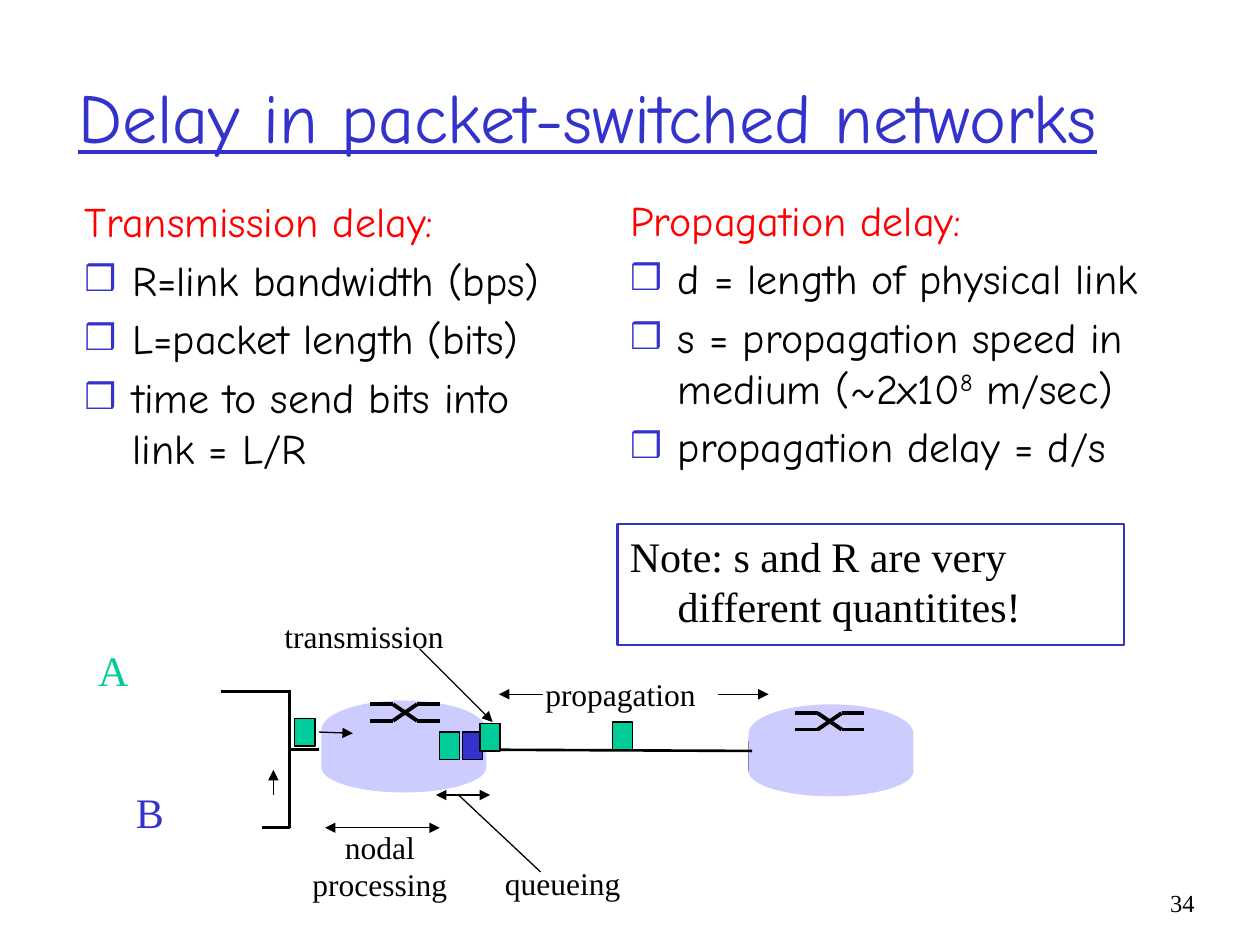
import pptx
import pptx.util
import pptx.dml.color
import pptx.enum.shapes
import pptx.enum.text
import pptx.oxml.ns
from lxml import etree

Inches, Pt = pptx.util.Inches, pptx.util.Pt
SHAPE = pptx.enum.shapes.MSO_SHAPE
ALIGN = pptx.enum.text.PP_ALIGN
ANCHOR = pptx.enum.text.MSO_ANCHOR
qn = pptx.oxml.ns.qn

COMIC, TIMES = "Comic Neue", "Times New Roman"
BLACK, BLUE, RED = "000000", "3333CC", "FF0000"
GREEN, LILAC = "00CC99", "CCCCFF"


def paint(target, color):
    """Set a fill (solid) or a font/line colour from a hex string."""
    if hasattr(target, "solid"):
        target.solid()
        target = target.fore_color
    else:
        target = target.color
    target.rgb = pptx.dml.color.RGBColor.from_string(color)


def place(shape, box):
    shape.left, shape.top, shape.width, shape.height = map(Inches, box)


def write(para, text, font=TIMES, size=18, color=BLACK, align=ALIGN.LEFT,
          line=False, hang=0, bullet=None, before=0):
    """Fill a paragraph; text between ^ marks is superscript."""
    para.alignment = align
    para.space_before = Pt(before)
    props = para._p.get_or_add_pPr()
    props.set("marL", str(Inches(hang)))
    props.set("indent", str(-Inches(hang)))
    if bullet:
        tint = etree.SubElement(props, qn("a:buClr"))
        etree.SubElement(tint, qn("a:srgbClr"), val=BLUE)
        etree.SubElement(props, qn("a:buSzPct"), val="85000")
        etree.SubElement(props, qn("a:buChar"), char=bullet)
    else:
        etree.SubElement(props, qn("a:buNone"))
    for i, part in enumerate(text.split("^")):
        run = para.add_run()
        run.text = part
        run.font.name, run.font.size = font, Pt(size)
        run.font.underline = line
        paint(run.font, color)
        if i % 2:
            run._r.get_or_add_rPr().set("baseline", "30000")


def label(slide, box, *lines, **form):
    shape = slide.shapes.add_textbox(*map(Inches, box))
    frame = shape.text_frame
    frame.word_wrap = True
    for i, text in enumerate(lines):
        write(frame.add_paragraph() if i else frame.paragraphs[0], text, **form)


def block(slide, kind, box, fill=None, edge=None, width=0.75):
    shape = slide.shapes.add_shape(kind, *map(Inches, box))
    shape.shadow.inherit = False
    if fill:
        paint(shape.fill, fill)
    else:
        shape.fill.background()
    if edge:
        paint(shape.line, edge)
        shape.line.width = Pt(width)
    else:
        shape.line.fill.background()
    return shape


def stroke(slide, x1, y1, x2, y2, width=0.75, ends=""):
    """Draw a line; ends names the arrowheads, such as "head tail"."""
    link = slide.shapes.add_connector(
        pptx.enum.shapes.MSO_CONNECTOR.STRAIGHT, *map(Inches, (x1, y1, x2, y2)))
    paint(link.line, BLACK)
    link.line.width = Pt(width)
    for end in ends.split():
        etree.SubElement(link.line._get_or_add_ln(), qn(f"a:{end}End"), type="triangle")
    etree.SubElement(link._element.spPr, qn("a:effectLst"))


def title(shape, box, text):
    place(shape, box)
    shape.text_frame.vertical_anchor = ANCHOR.MIDDLE
    write(shape.text_frame.paragraphs[0], text, font=COMIC, size=40,
          color=BLUE, line=True)


def column(shape, box, head, items):
    place(shape, box)
    frame = shape.text_frame
    frame.auto_size = pptx.enum.text.MSO_AUTO_SIZE.NONE
    form = dict(font=COMIC, size=24, hang=0.38)
    write(frame.paragraphs[0], head, color=RED, **form)
    for item in items:
        write(frame.add_paragraph(), item, bullet="❒", before=4.8, **form)


def note(slide, box, text):
    shape = block(slide, SHAPE.RECTANGLE, box, edge=BLUE, width=1.5)
    shape.text_frame.vertical_anchor = ANCHOR.TOP
    write(shape.text_frame.paragraphs[0], text, size=24, hang=0.38)


def router(slide, left, top):
    width = 1.31
    block(slide, SHAPE.OVAL, (left, top + 0.33, width, 0.4), LILAC)
    block(slide, SHAPE.RECTANGLE, (left, top + 0.25, width, 0.29), LILAC)
    block(slide, SHAPE.OVAL, (left, top, width, 0.47), LILAC)


def cross(slide, left, top):
    """Switch symbol: two crossing paths with flat ends."""
    low = top + 0.13
    for y1, y2 in ((top, low), (low, top)):
        points = ((0, y1), (0.18, y1), (0.37, y2), (0.55, y2))
        for (a, ya), (b, yb) in zip(points, points[1:]):
            stroke(slide, left + a, ya, left + b, yb, 2.25)


def network(slide):
    # Routers
    stroke(slide, 5.94, 5.88, 5.94, 6.13, 1)
    for left, top in ((2.55, 5.56), (5.94, 5.59)):
        router(slide, left, top)
    cross(slide, 2.94, 5.59)
    cross(slide, 6.31, 5.66)

    # Links
    for ends in ((1.75, 5.49, 2.3, 5.49), (2.08, 6.57, 2.3, 6.57),
                 (3.85, 5.95, 5.97, 5.96), (2.3, 5.48, 2.3, 6.57),
                 (2.31, 5.95, 2.53, 5.95)):
        stroke(slide, *ends, width=1.5)

    # Packets
    for left, top, color in ((4.86, 5.73, GREEN), (3.49, 5.81, GREEN),
                             (3.67, 5.81, BLUE), (2.34, 5.7, GREEN),
                             (3.81, 5.74, GREEN)):
        block(slide, SHAPE.RECTANGLE, (left, top, 0.16, 0.22), color, BLACK)

    # Arrows and the queueing pointer
    for ends in ((2.53, 5.81, 2.8, 5.82), (2.17, 6.31, 2.17, 6.11),
                 (5.7, 5.51, 6.1, 5.51), (4.31, 5.51, 3.96, 5.51),
                 (3.33, 5.15, 3.91, 5.73)):
        stroke(slide, *ends, ends="tail")
    for ends in ((3.49, 6.57, 2.58, 6.57), (3.89, 6.31, 3.46, 6.31)):
        stroke(slide, *ends, ends="head tail")
    stroke(slide, 4.29, 6.92, 3.64, 6.31)

    # Labels
    label(slide, (0.68, 5.07, 0.44, 0.5), "A", size=24, color=GREEN)
    label(slide, (0.98, 6.19, 0.41, 0.5), "B", size=24, color=BLUE)
    label(slide, (4.23, 5.31, 1.56, 0.4), "propagation")
    label(slide, (2.16, 4.85, 1.66, 0.4), "transmission")
    label(slide, (2.3, 6.52, 1.43, 0.7), "nodal", "processing", align=ALIGN.CENTER)
    label(slide, (3.91, 6.81, 1.2, 0.4), "queueing")


def main():
    deck = pptx.Presentation()
    deck.slide_width, deck.slide_height = Inches(10), Inches(7.5)
    slide = deck.slides.add_slide(deck.slide_layouts[3])
    head, left, right = slide.placeholders

    title(head, (0.52, 0.29, 8.5, 1.25), "Delay in packet-switched networks")
    column(left, (0.57, 1.5, 4.17, 2.74), "Transmission delay:",
           ["R=link bandwidth (bps)", "L=packet length (bits)",
            "time to send bits into link = L/R"])
    column(right, (4.9, 1.49, 4.54, 3.19), "Propagation delay:",
           ["d = length of physical link",
            "s = propagation speed in medium (~2x10^8^ m/sec)",
            "propagation delay = d/s"])
    network(slide)
    note(slide, (4.9, 4.16, 4.02, 0.96),
         "Note: s and R are very different quantitites!")
    label(slide, (9.08, 7, 0.5, 0.5), "34", size=14, align=ALIGN.RIGHT)
    deck.save("out.pptx")


if __name__ == "__main__":
    main()
